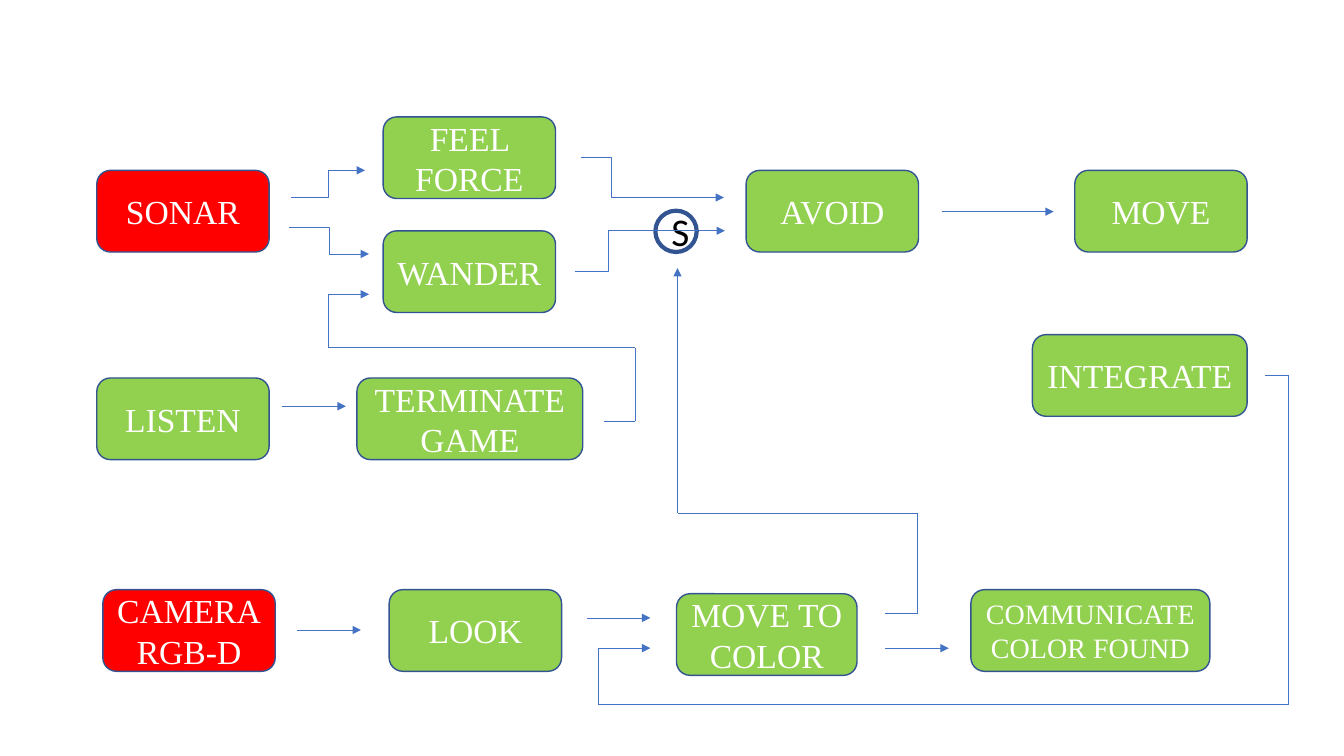
"""Builds a slide with the block diagram of a robot's behaviours."""
from dataclasses import dataclass
from itertools import pairwise

from lxml.etree import SubElement
from pptx import Presentation
from pptx.dml.color import RGBColor
from pptx.enum.shapes import MSO_CONNECTOR as Connector, MSO_SHAPE as Shape
from pptx.enum.text import MSO_ANCHOR as Anchor, PP_ALIGN as Align
from pptx.oxml.ns import qn
from pptx.util import Inches, Pt

SENSOR, BEHAVIOUR = "FF0000", "92D050"
OUTLINE, ARROW = "325491", "4472C4"
BOX_HEIGHT = 0.81
Point = tuple[float, float]


@dataclass(frozen=True)
class Block:
    lines: tuple[str, ...]
    left: float
    top: float
    width: float = 1.71
    fill: str = BEHAVIOUR
    size: int = 24


@dataclass(frozen=True)
class Elbow:
    start: Point
    end: Point
    bend: float = 0.5


BLOCKS = [
    Block(("CAMERA", "RGB-D"), 1.02, 5.85, fill=SENSOR),
    Block(("LOOK",), 3.86, 5.85),
    Block(("MOVE TO COLOR",), 6.71, 5.89, 1.79),
    Block(("COMMUNICATE", "COLOR FOUND"), 9.63, 5.85, 2.37, size=20),
    Block(("SONAR",), 0.96, 1.69, fill=SENSOR),
    Block(("WANDER",), 3.8, 2.29),
    Block(("AVOID",), 7.4, 1.69),
    Block(("MOVE",), 10.66, 1.69),
    Block(("INTEGRATE",), 10.24, 3.32, 2.13),
    Block(("LISTEN",), 0.96, 3.75),
    Block(("TERMINATE", "GAME"), 3.54, 3.75, 2.24),
    Block(("FEEL FORCE",), 3.8, 1.16),
]

ELBOWS = [
    Elbow((5.76, 1.56), (7.18, 1.96), 0.214),
    Elbow((5.7, 2.69), (7.19, 2.29), 0.223),
    Elbow((2.89, 1.96), (3.62, 1.69)),
    Elbow((2.87, 2.26), (3.66, 2.52)),
]

ROUTES: list[list[Point]] = [
    [(2.95, 6.25), (3.58, 6.25)],
    [(5.82, 6.13), (6.45, 6.13)],
    [(8.78, 6.43), (9.41, 6.43)],
    [(2.8, 4.03), (3.43, 4.03)],
    [(9.34, 2.1), (10.45, 2.1)],
    [(8.78, 6.09), (9.1, 6.09), (9.1, 5.09), (6.72, 5.09), (6.72, 2.66)],
    [(12.55, 3.72), (12.78, 3.72), (12.78, 6.99), (5.93, 6.99), (5.93, 6.43), (6.45, 6.43)],
    [(5.99, 4.18), (6.3, 4.18), (6.3, 3.45), (3.26, 3.45), (3.26, 2.92), (3.66, 2.92)],
]


def color(value: str) -> RGBColor:
    return RGBColor.from_string(value)


def add_node(page, kind, left: float, top: float, width: float, height: float, line_width: float):
    node = page.shapes.add_shape(kind, Inches(left), Inches(top), Inches(width), Inches(height))
    node.shadow.inherit = False
    node.line.color.rgb = color(OUTLINE)
    node.line.width = Pt(line_width)
    return node


def write(node, lines: tuple[str, ...], size: int, font: str, ink: str) -> None:
    frame = node.text_frame
    frame.vertical_anchor = Anchor.MIDDLE
    for index, line in enumerate(lines):
        para = frame.add_paragraph() if index else frame.paragraphs[0]
        para.alignment = Align.CENTER
        span = para.add_run()
        span.text = line
        span.font.size = Pt(size)
        span.font.name = font
        span.font.color.rgb = color(ink)


def add_block(page, block: Block) -> None:
    box = add_node(page, Shape.ROUNDED_RECTANGLE, block.left, block.top, block.width, BOX_HEIGHT, 1)
    box.fill.solid()
    box.fill.fore_color.rgb = color(block.fill)
    write(box, block.lines, block.size, "Times New Roman", "FFFFFF")


def add_line(page, kind, start: Point, end: Point, arrow: bool):
    line = page.shapes.add_connector(kind, *map(Inches, start + end))
    line.line.color.rgb = color(ARROW)
    line.line.width = Pt(0.5)
    if arrow:
        SubElement(line.line._get_or_add_ln(), qn("a:tailEnd"), type="triangle")
    SubElement(line._element.spPr, qn("a:effectLst"))
    return line


def add_elbow(page, elbow: Elbow) -> None:
    line = add_line(page, Connector.ELBOW, elbow.start, elbow.end, True)
    guides = line._element.spPr.find(qn("a:prstGeom")).find(qn("a:avLst"))
    SubElement(guides, qn("a:gd"), name="adj1", fmla=f"val {round(elbow.bend * 100000)}")


def add_route(page, points: list[Point]) -> None:
    for start, end in pairwise(points):
        add_line(page, Connector.STRAIGHT, start, end, end == points[-1])


deck = Presentation()
deck.slide_width, deck.slide_height = Inches(13.33), Inches(7.5)
page = deck.slides.add_slide(deck.slide_layouts[6])

suppressor = add_node(page, Shape.OVAL, 6.5, 2.09, 0.41, 0.41, 3)
suppressor.fill.background()
write(suppressor, ("S",), 28, "Calibri", "000000")

for block in BLOCKS:
    add_block(page, block)
for elbow in ELBOWS:
    add_elbow(page, elbow)
for route in ROUTES:
    add_route(page, route)

deck.save("out.pptx")
